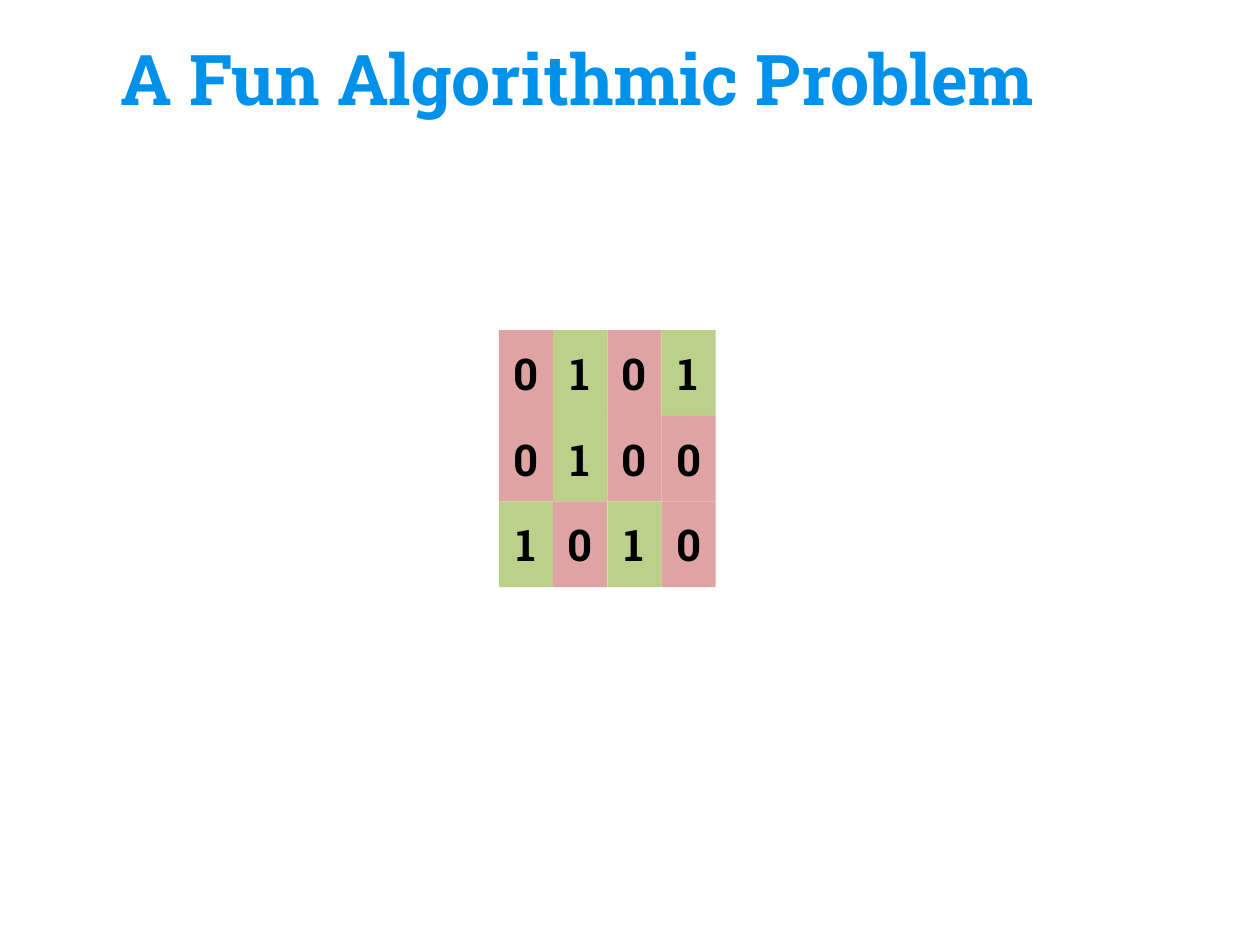
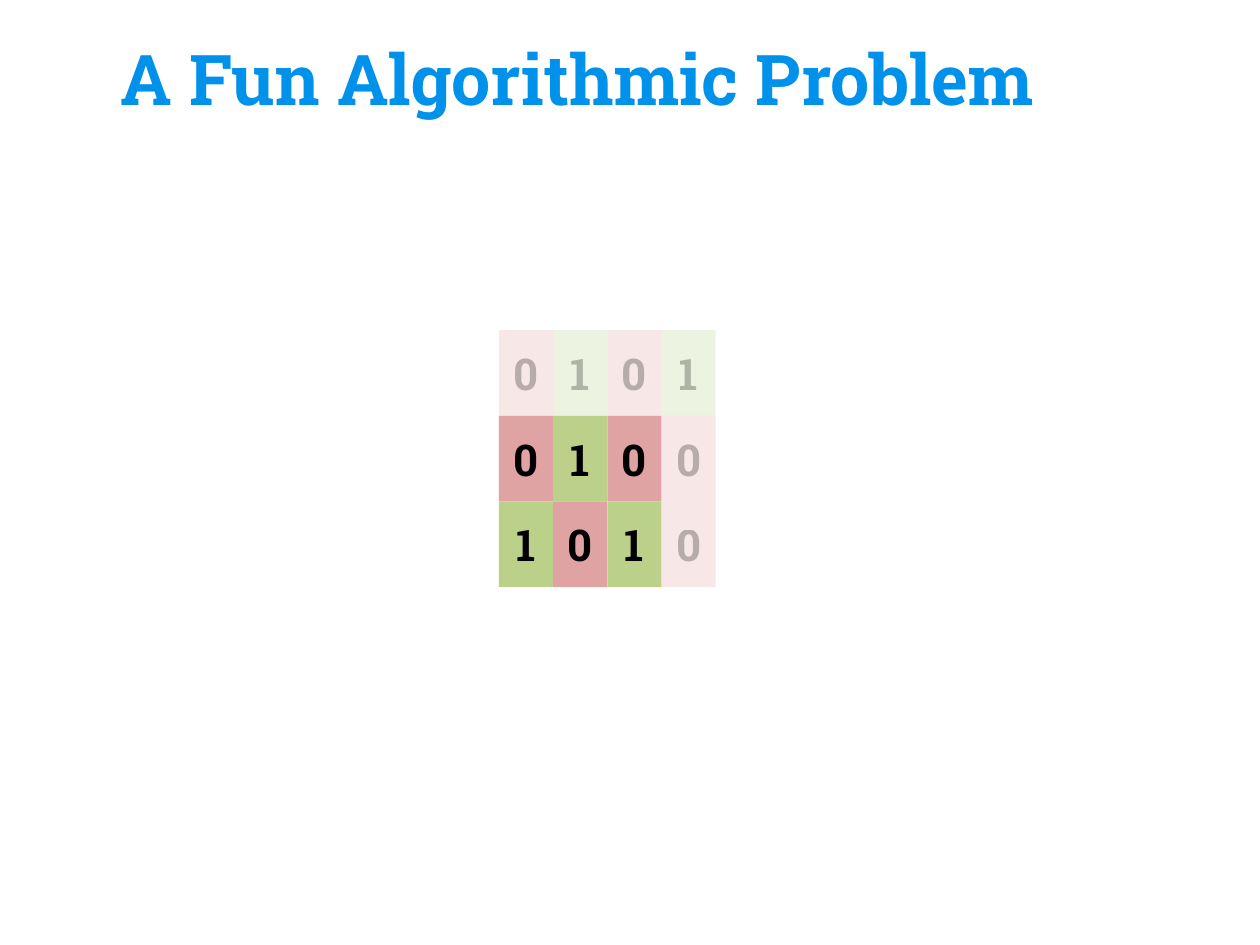
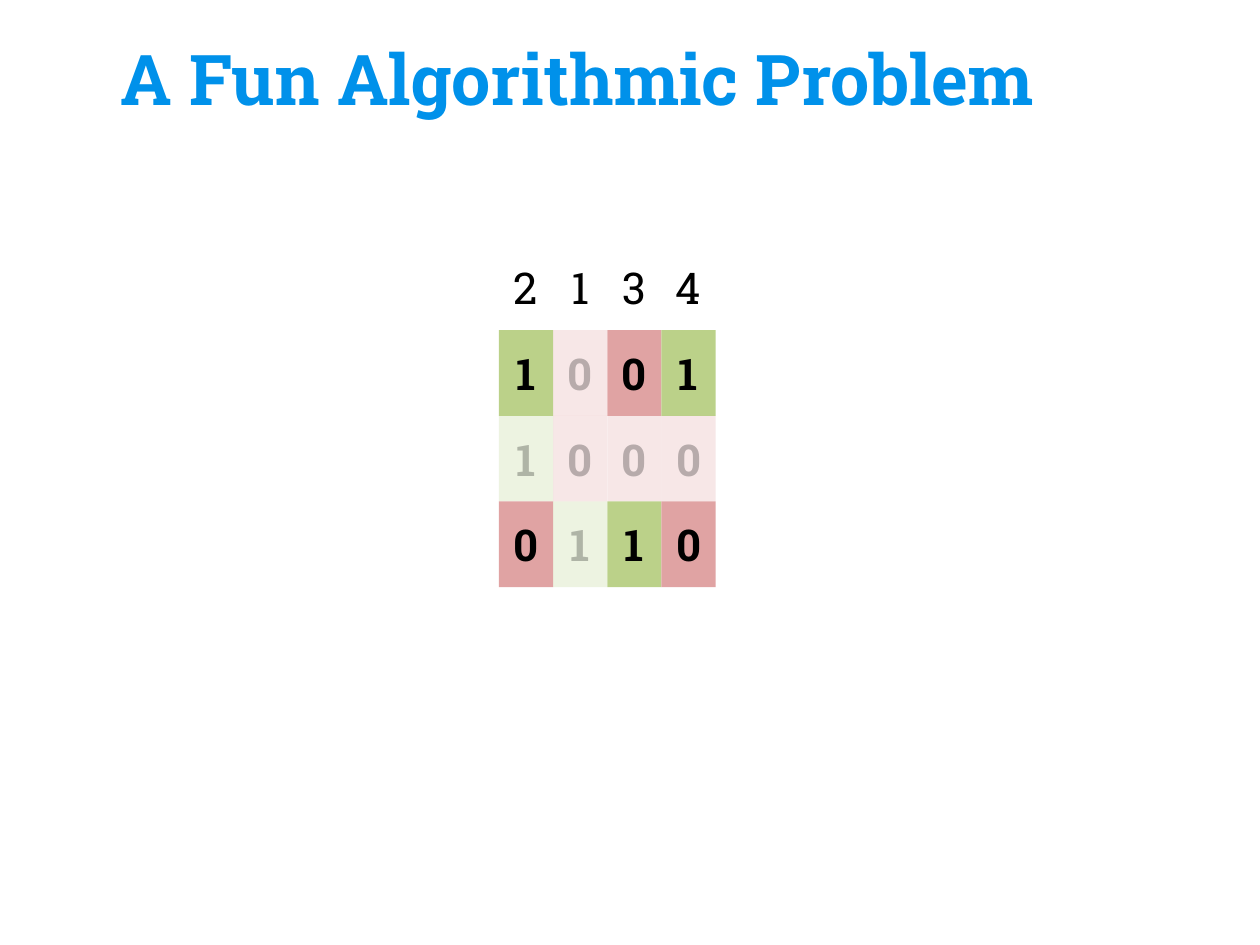
from lxml import etree
from pptx import Presentation
from pptx.dml.color import RGBColor
from pptx.enum.shapes import MSO_SHAPE
from pptx.enum.text import MSO_ANCHOR, PP_ALIGN
from pptx.oxml.ns import qn
from pptx.util import Inches, Pt

RECT = MSO_SHAPE.RECTANGLE
MIDDLE, BOTTOM = MSO_ANCHOR.MIDDLE, MSO_ANCHOR.BOTTOM
LEFT, CENTER = PP_ALIGN.LEFT, PP_ALIGN.CENTER

FONT = "Roboto Slab"
BLUE, BLACK = "0091EA", "000000"
FILLS = {"0": "E0A3A3", "1": "BBD189"}
FADE = "25000"
GRID_X, GRID_Y = 3.96, 2.62
CELL_W, CELL_H = 0.43, 0.68

TITLE = "A Fun Algorithmic Problem"
BITS = ["0101", "0100", "1010"]


def color(code):
    return RGBColor.from_string(code)


class Deck:
    def __init__(self):
        self.prs = Presentation()
        self.prs.slide_width = Inches(10)
        self.prs.slide_height = Inches(7.5)
        self.slide = None

    def start(self):
        self.slide = self.prs.slides.add_slide(self.prs.slide_layouts[6])
        box = self.slide.shapes.add_textbox(
            Inches(0.86), Inches(0.03), Inches(8.28), Inches(1.02))
        self.letter(box, TITLE, 40, BLUE, True, LEFT, BOTTOM)

    def letter(self, shape, text, size, code, bold, align, anchor):
        frame = shape.text_frame
        frame.word_wrap = True
        frame.vertical_anchor = anchor
        frame.margin_left = frame.margin_right = Inches(0.1)
        frame.margin_top = frame.margin_bottom = Inches(0.1)
        para = frame.paragraphs[0]
        para.text = text
        para.alignment = align
        font = para.font
        font.name, font.size, font.bold = FONT, Pt(size), bold
        font.color.rgb = color(code)

    def place(self, row, col):
        return (Inches(GRID_X + col * CELL_W), Inches(GRID_Y + row * CELL_H),
                Inches(CELL_W), Inches(CELL_H))

    def label(self, col, text):
        box = self.slide.shapes.add_textbox(*self.place(-1, col))
        self.letter(box, text, 25, BLACK, False, CENTER, MIDDLE)

    def cell(self, row, col, bit, faded):
        cell = self.slide.shapes.add_shape(RECT, *self.place(row, col))
        cell.shadow.inherit = False
        cell.fill.solid()
        cell.fill.fore_color.rgb = color(FILLS[bit])
        cell.line.fill.background()
        self.letter(cell, bit, 25, BLACK, True, CENTER, MIDDLE)
        if faded:
            for tint in cell._element.iter(qn("a:srgbClr")):
                etree.SubElement(tint, qn("a:alpha")).set("val", FADE)

    def grid(self, order=(1, 2, 3, 4), cut_row=None, cut_col=None, named=False):
        for col, name in enumerate(order):
            if named:
                self.label(col, str(name))
            for row, bits in enumerate(BITS):
                faded = row == cut_row or col == cut_col
                self.cell(row, col, bits[name - 1], faded)


def main():
    deck = Deck()
    views = [
        {},
        {"cut_row": 0, "cut_col": 3},
        {"order": (2, 1, 3, 4), "cut_row": 1, "cut_col": 1, "named": True},
    ]
    for view in views:
        deck.start()
        deck.grid(**view)
    deck.prs.save("out.pptx")


if __name__ == "__main__":
    main()
